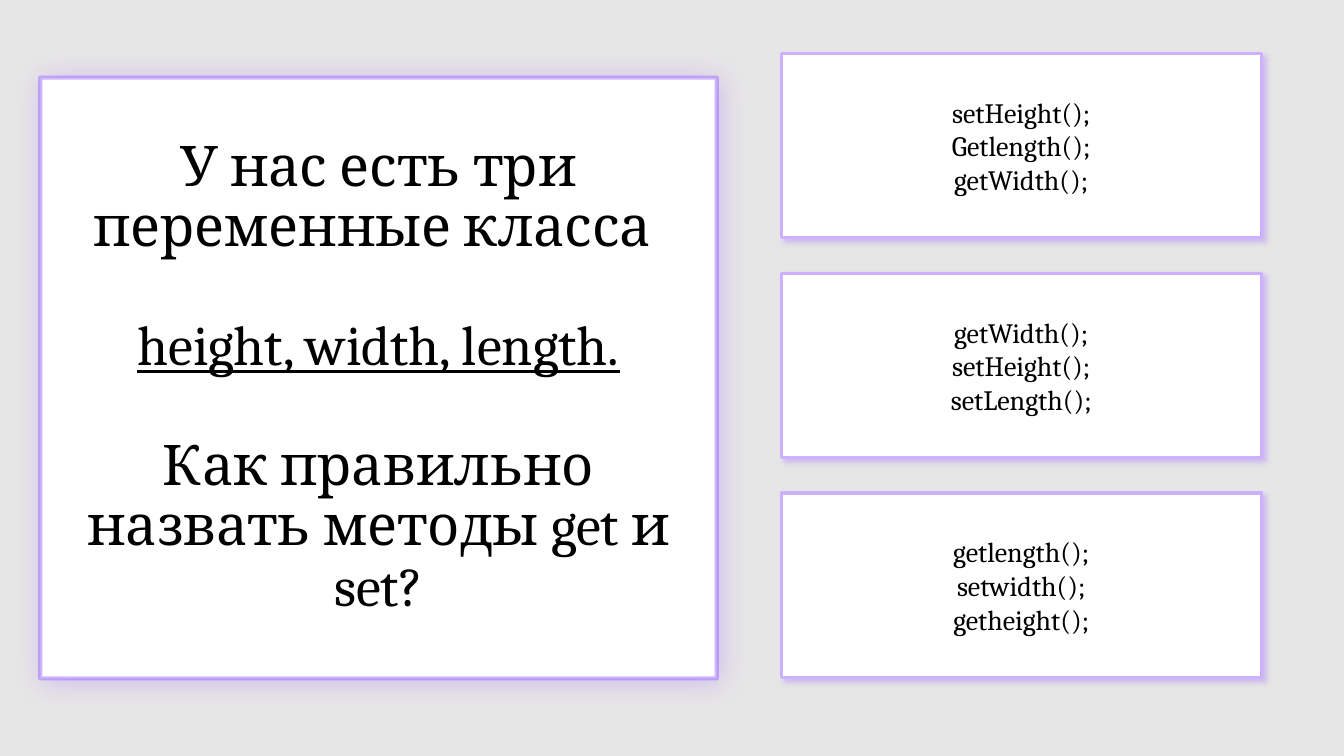
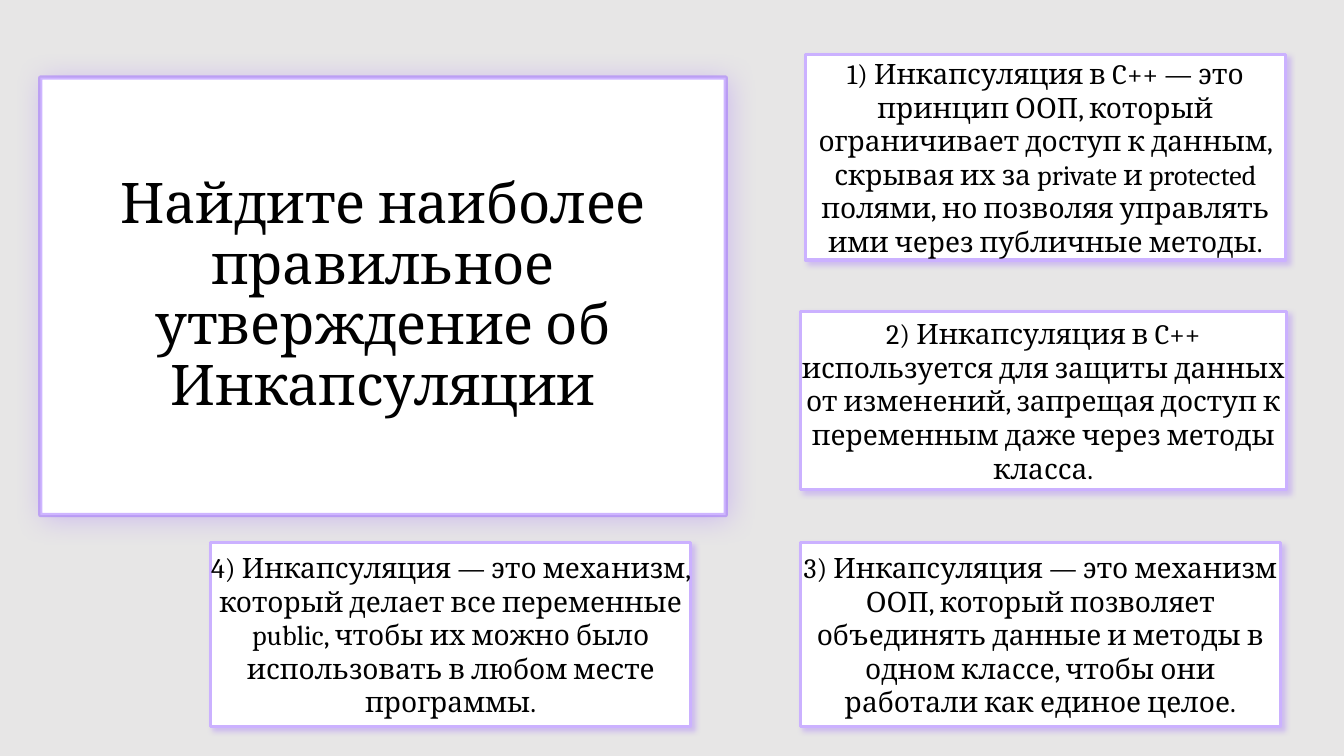
from lxml.etree import SubElement
from pptx import Presentation
from pptx.dml.color import RGBColor
from pptx.enum.shapes import MSO_SHAPE as Shape
from pptx.enum.text import MSO_ANCHOR as Anchor, PP_ALIGN as Align
from pptx.oxml.ns import qn
from pptx.util import Inches, Pt

COLORS = {
    "page": "E7E6E6",
    "card": "FFFFFF",
    "text": "000000",
    "violet": "9966FF",
    "lilac": "CBB1FF",
}
FONT = "Cambria"
WIDTH, HEIGHT = Inches(13.33), Inches(7.5)
COLUMNS = ROWS = 100
ANSWER_WIDTH, ANSWER_HEIGHT = 35.7, 24.4
QUESTION_LEFT, QUESTION_TOP = 3, 10.27


def color(name):
    return RGBColor.from_string(COLORS[name])


def add_alpha(color_element, percent):
    SubElement(color_element, qn("a:alpha"), val=str(percent * 1000))


def add_shadow(box, blur, alpha, distance=3, angle=45):
    box.shadow.inherit = False
    effects = box._element.spPr.find(qn("a:effectLst"))
    shadow = SubElement(
        effects, qn("a:outerShdw"), blurRad=str(Pt(blur)),
        dist=str(Pt(distance)), dir=str(angle * 60000), rotWithShape="0")
    tint = SubElement(shadow, qn("a:srgbClr"), val=COLORS["violet"])
    add_alpha(tint, alpha)


def add_text(box, lines, size, spacing=None, gap=0, underlined=None):
    frame = box.text_frame
    frame.word_wrap = True
    frame.vertical_anchor = Anchor.MIDDLE
    for index, line in enumerate(lines):
        para = frame.add_paragraph() if index else frame.paragraphs[0]
        para.alignment = Align.CENTER
        para.line_spacing = spacing
        para.space_before = Pt(gap if index else 0)
        span = para.add_run()
        span.text = line
        span.font.name = FONT
        span.font.size = Pt(size)
        span.font.color.rgb = color("text")
        if index == underlined:
            span.font.underline = True


def add_card(page, column, row, columns, rows, line, line_width):
    box = page.shapes.add_shape(
        Shape.RECTANGLE,
        int(WIDTH * column / COLUMNS), int(HEIGHT * row / ROWS),
        int(WIDTH * columns / COLUMNS), int(HEIGHT * rows / ROWS))
    box.fill.solid()
    box.fill.fore_color.rgb = color("card")
    box.line.color.rgb = color(line)
    box.line.width = Pt(line_width)
    return box


def add_question(page, columns, rows, lines, **text_format):
    box = add_card(page, QUESTION_LEFT, QUESTION_TOP, columns, rows, "violet", 3)
    add_alpha(box.line._ln.find(".//" + qn("a:srgbClr")), 47)
    add_shadow(box, blur=20, alpha=34)
    add_text(box, lines, size=40, spacing=0.9, **text_format)


def add_answer(page, column, row, lines, columns=ANSWER_WIDTH, rows=ANSWER_HEIGHT):
    box = add_card(page, column, row, columns, rows, "lilac", 2.25)
    add_shadow(box, blur=4, alpha=32)
    frame = box.text_frame
    frame.margin_left = frame.margin_right = 0
    frame.margin_top = frame.margin_bottom = 0
    add_text(box, lines, size=20)


def add_page(deck):
    page = deck.slides.add_slide(deck.slide_layouts[6])
    page.background.fill.solid()
    page.background.fill.fore_color.rgb = color("page")
    return page


def add_methods_page(deck):
    page = add_page(deck)
    add_question(page, 50.33, 79.47, [
        "У нас есть три переменные класса ",
        "height, width, length.",
        "Как правильно назвать методы get и set?",
    ], gap=42, underlined=1)
    answers = [
        ["setHeight();", "Getlength();", "getWidth();"],
        ["getWidth();", "setHeight();", "setLength();"],
        ["getlength();", "setwidth();", "getheight();"],
    ]
    first_row, step = 7.07, 29.07
    for index, lines in enumerate(answers):
        add_answer(page, 58.14, first_row + index * step, lines)


def add_encapsulation_page(deck):
    page = add_page(deck)
    add_question(page, 51, 57.87,
                 ["Найдите наиболее правильное утверждение об Инкапсуляции"])
    right_column, last_row = 59.55, 71.73
    add_answer(page, 59.93, 7.2, [
        "1) Инкапсуляция в C++ — это принцип ООП, который ограничивает доступ "
        "к данным, скрывая их за private и protected полями, но позволяя "
        "управлять ими через публичные методы."], rows=27.2)
    add_answer(page, right_column, 41.2, [
        "2) Инкапсуляция в C++ используется для защиты данных от изменений, "
        "запрещая доступ к переменным даже через методы класса."],
        columns=36.15, rows=23.6)
    add_answer(page, right_column, last_row, [
        "3) Инкапсуляция — это механизм ООП, который позволяет объединять "
        "данные и методы в одном классе, чтобы они работали как единое целое."])
    add_answer(page, 15.68, last_row, [
        "4) Инкапсуляция — это механизм, который делает все переменные public, "
        "чтобы их можно было использовать в любом месте программы."])


def main():
    deck = Presentation()
    deck.slide_width, deck.slide_height = WIDTH, HEIGHT
    add_methods_page(deck)
    add_encapsulation_page(deck)
    deck.save("out.pptx")


if __name__ == "__main__":
    main()
